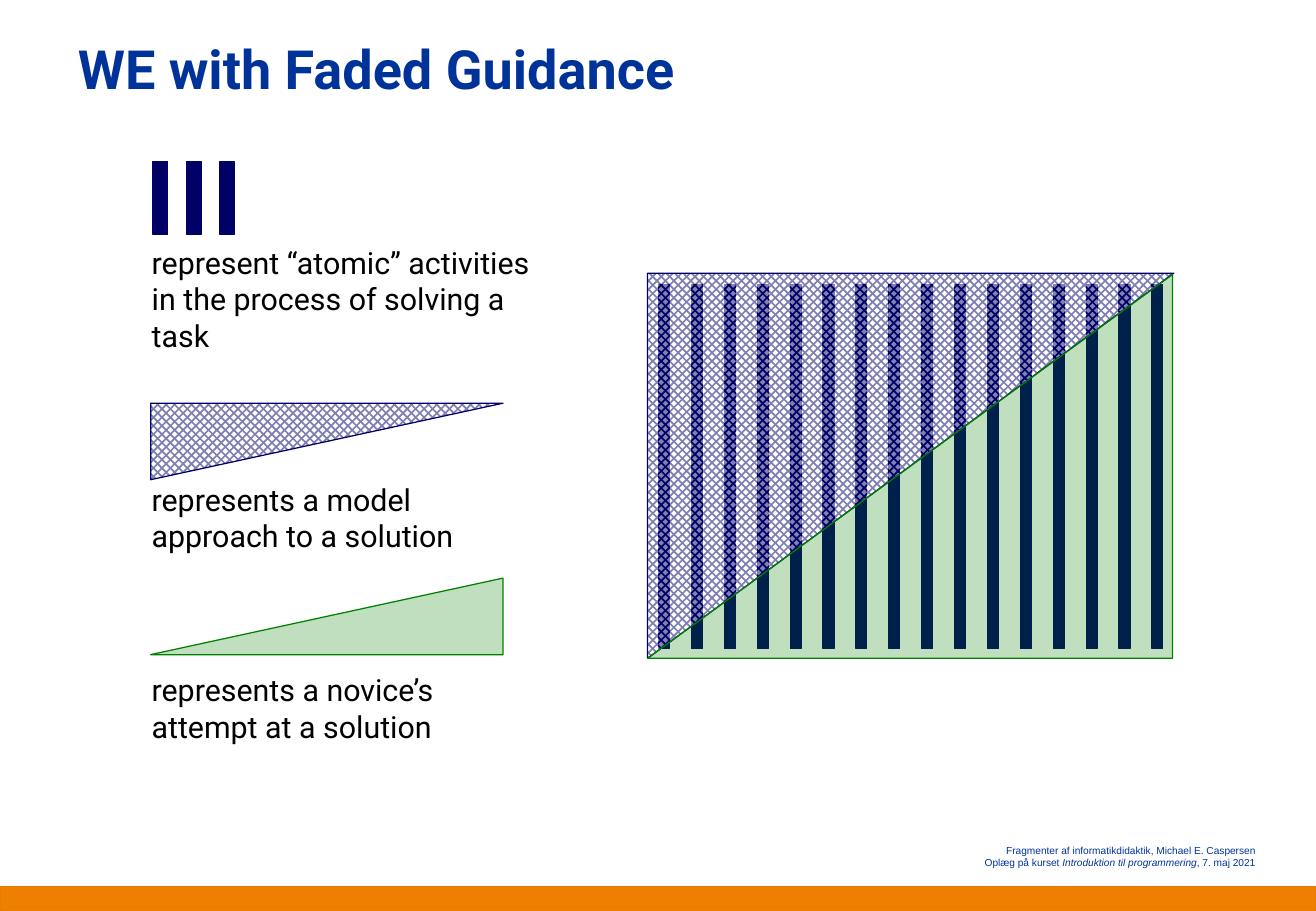
from collections import namedtuple

from lxml.etree import SubElement
from pptx import Presentation
from pptx.dml.color import RGBColor
from pptx.enum.dml import MSO_PATTERN
from pptx.enum.shapes import MSO_SHAPE
from pptx.enum.text import MSO_ANCHOR, PP_ALIGN
from pptx.oxml.ns import qn
from pptx.util import Inches, Pt

COLORS = {
    "title": "003399",
    "text": "000000",
    "model": "000066",
    "novice": "008000",
    "white": "FFFFFF",
    "band": "EE7F00",
    "band_line": "E97C00",
}
Box = namedtuple("Box", "left top width height")


def color(name):
    return RGBColor.from_string(COLORS[name])


def inches(box):
    return [Inches(value) for value in box]


def set_text(shape, paragraphs, size=18, font="Roboto", color_name="text", bold=False,
             align=PP_ALIGN.LEFT, anchor=MSO_ANCHOR.TOP, line_spacing=None):
    frame = shape.text_frame
    frame.word_wrap = True
    frame.vertical_anchor = anchor
    frame.margin_left = frame.margin_right = Inches(0.1)
    frame.margin_top = frame.margin_bottom = Inches(0.05)
    for index, runs in enumerate(paragraphs):
        paragraph = frame.add_paragraph() if index else frame.paragraphs[0]
        paragraph.alignment = align
        paragraph.line_spacing = line_spacing
        for text, italic in runs:
            run = paragraph.add_run()
            run.text = text
            run.font.size = Pt(size)
            run.font.name = font
            run.font.bold = bold
            run.font.italic = italic
            run.font.color.rgb = color(color_name)


def add_text(slide, box, paragraphs, **text_format):
    set_text(slide.shapes.add_textbox(*inches(box)), paragraphs, **text_format)


def add_filled(shapes, kind, box, fill_name, line_name):
    shape = shapes.add_shape(kind, *inches(box))
    shape.shadow.inherit = False
    shape.fill.solid()
    shape.fill.fore_color.rgb = color(fill_name)
    shape.line.color.rgb = color(line_name)
    shape.line.width = Pt(0.75)
    return shape


def set_opacity(shape, percent):
    properties = shape.element.spPr
    for fill in properties.findall(qn("a:solidFill")) + properties.findall(qn("a:pattFill")):
        for fill_color in fill.iter(qn("a:srgbClr")):
            SubElement(fill_color, qn("a:alpha"), val=str(percent * 1000))


def add_model_triangle(slide, box):
    triangle = add_filled(slide.shapes, MSO_SHAPE.RIGHT_TRIANGLE, box, "model", "model")
    triangle.element.spPr.xfrm.set("flipV", "1")
    triangle.fill.patterned()
    triangle.fill.pattern = MSO_PATTERN.PERCENT_50
    triangle.fill.fore_color.rgb = color("model")
    triangle.fill.back_color.rgb = color("white")
    set_opacity(triangle, 50)


def add_novice_triangle(slide, box):
    triangle = add_filled(slide.shapes, MSO_SHAPE.RIGHT_TRIANGLE, box, "novice", "novice")
    triangle.element.spPr.xfrm.set("flipH", "1")
    set_opacity(triangle, 25)


def add_bars(shapes, box, count, bar_width):
    pitch = (box.width - bar_width) / (count - 1)
    for index in range(count):
        bar = Box(box.left + index * pitch, box.top, bar_width, box.height)
        add_filled(shapes, MSO_SHAPE.RECTANGLE, bar, "model", "model")


def add_title(slide, box):
    title = slide.shapes.title
    title.left, title.top, title.width, title.height = inches(box)
    set_text(title, [[("WE with Faded Guidance", False)]], size=32, color_name="title",
             bold=True, line_spacing=Pt(38))


def add_legend(slide, box):
    symbol_left = box.left + 0.09
    add_bars(slide.shapes, Box(symbol_left + 0.02, box.top, 0.67, 0.6), 3, 0.12)
    add_model_triangle(slide, Box(symbol_left, box.top + 1.99, 2.9, 0.63))
    add_novice_triangle(slide, Box(symbol_left, box.top + 3.43, 2.9, 0.63))
    captions = [
        (0.63, box.width, 1.01, "represent “atomic” activities in the process of solving a task"),
        (2.58, 3.24, 0.71, "represents a model approach to a solution"),
        (4.15, 3.07, 0.71, "represents a novice’s attempt at a solution"),
    ]
    for offset, width, height, caption in captions:
        add_text(slide, Box(box.left, box.top + offset, width, height), [[(caption, False)]])


def add_diagram(slide, box):
    margin = 0.09
    bars = Box(box.left + margin, box.top + margin, box.width - 2 * margin, 3)
    add_bars(slide.shapes.add_group_shape().shapes, bars, 16, 0.09)
    add_model_triangle(slide, box)
    add_novice_triangle(slide, Box(box.left, box.top + 0.01, box.width - 0.01, box.height - 0.01))


def add_footer(slide, box):
    band = Box(box.left, box.top + 0.4, box.width, 0.2)
    add_filled(slide.shapes, MSO_SHAPE.RECTANGLE, band, "band", "band_line")
    credit = [
        [("Fragmenter af informatikdidaktik, Michael E. Caspersen", False)],
        [("Oplæg på kurset ", False), ("Introduktion til programmering", True),
         (", 7. maj 2021", False)],
    ]
    add_text(slide, Box(box.left + 5.5, box.top, 4.93, 0.3), credit, size=6, font="Arial",
             color_name="title", align=PP_ALIGN.RIGHT, anchor=MSO_ANCHOR.MIDDLE)


def main():
    presentation = Presentation()
    presentation.slide_width = Inches(10.83)
    presentation.slide_height = Inches(7.5)
    slide = presentation.slides.add_slide(presentation.slide_layouts[5])
    add_footer(slide, Box(0, 6.9, 10.83, 0.6))
    add_title(slide, Box(0.54, 0.25, 7.62, 1.25))
    add_legend(slide, Box(1.15, 1.33, 3.41, 4.86))
    add_diagram(slide, Box(5.33, 2.25, 4.33, 3.17))
    presentation.save("out.pptx")


if __name__ == "__main__":
    main()
